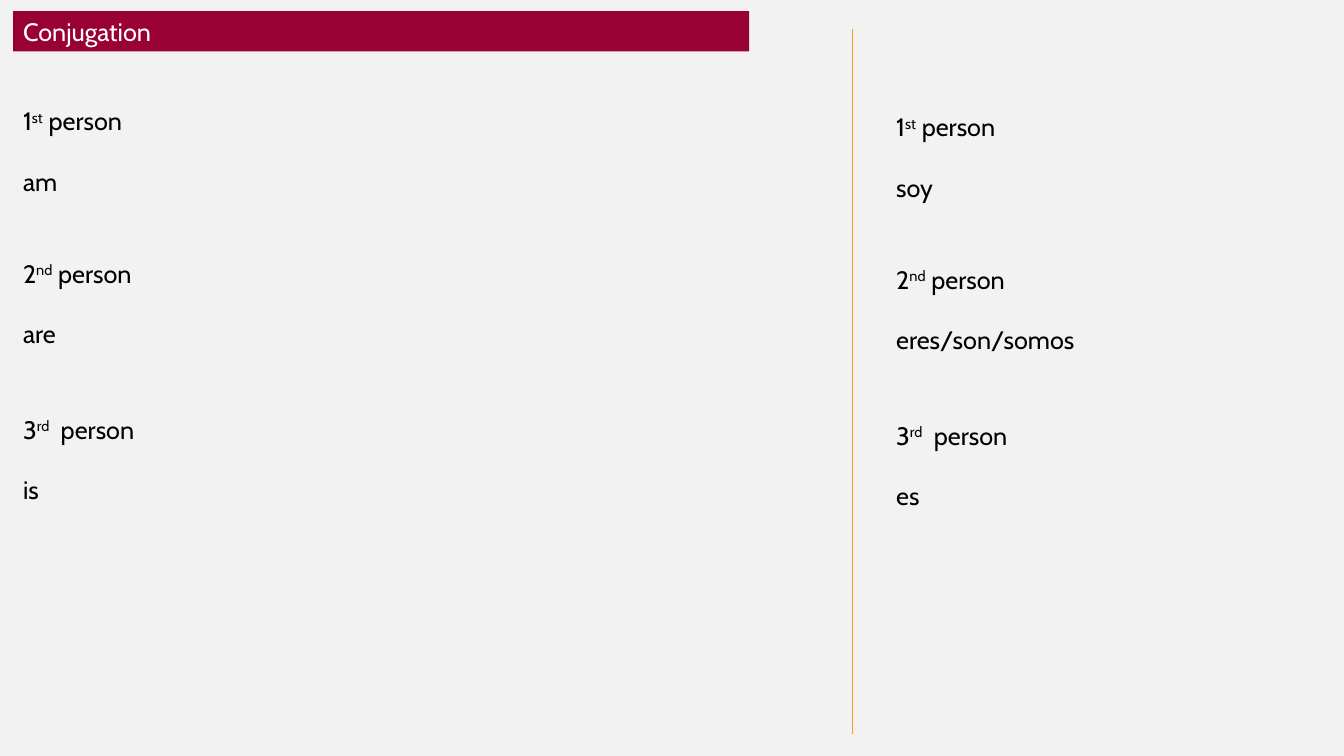
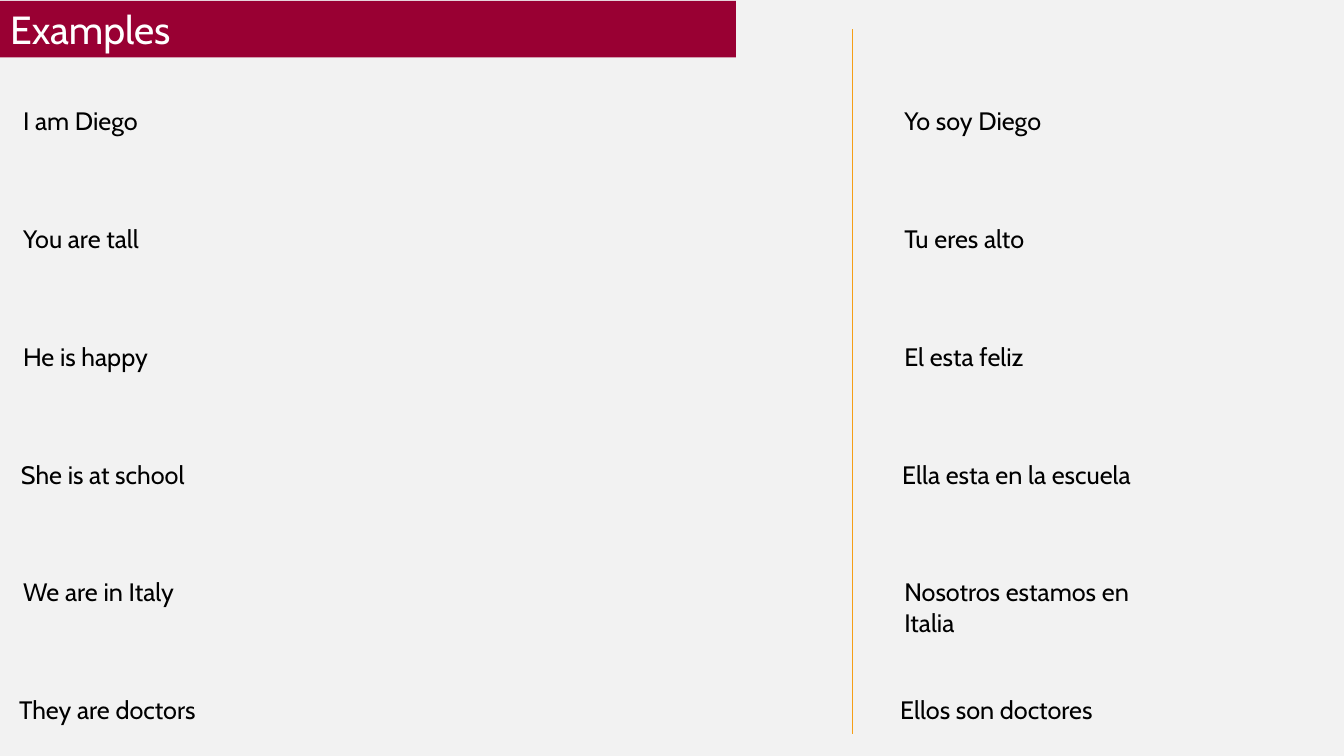
from dataclasses import dataclass

from lxml.etree import SubElement
from pptx import Presentation
from pptx.dml.color import RGBColor
from pptx.enum.shapes import MSO_CONNECTOR
from pptx.enum.text import MSO_ANCHOR, MSO_AUTO_SIZE, PP_ALIGN
from pptx.oxml.ns import qn
from pptx.util import Inches, Pt

# Content: (number, ordinal ending, noun, English verb, Spanish verb)
PERSONS = [
    ("1", "st", " person", "am", "soy"),
    ("2", "nd", " person", "are", "eres/son/somos"),
    ("3", "rd", "  person", "is", "es"),
]
# (English, Spanish, shift to the left in inches)
EXAMPLES = [
    ("I am Diego", "Yo soy Diego", 0),
    ("You are tall", "Tu eres alto", 0),
    ("He is happy", "El esta feliz", 0),
    ("She is at school", "Ella esta en la escuela", 0.02),
    ("We are in Italy", "Nosotros estamos en Italia", 0),
    ("They are doctors", "Ellos son doctores", 0.04),
]

# Layout, in inches
ENGLISH_LEFT = 0.13
ENTRY_WIDTH = 2.52
FIRST_TOP, LAST_TOP = 1, 6.84
PERSON_TOPS = (1, 2.51, 4.06)
SPANISH_DROP = 0.06


@dataclass(frozen=True)
class Theme:
    """Colours, font and type sizes of both slides."""
    background: RGBColor = RGBColor(0xF2, 0xF2, 0xF2)
    band: RGBColor = RGBColor(0x99, 0x00, 0x33)
    divider: RGBColor = RGBColor(0xF5, 0x9F, 0x17)
    text: RGBColor = RGBColor(0, 0, 0)
    title: RGBColor = RGBColor(0xFF, 0xFF, 0xFF)
    font: str = "Cabin"
    body_size: int = 18
    large_title_size: int = 28
    verb_gap: float = 21.6
    superscript: str = "30000"


THEME = Theme()


def add_run(paragraph, wording, size, color, raised=False):
    """Add one formatted run, as superscript if raised."""
    run = paragraph.add_run()
    run.text = wording
    run.font.name = THEME.font
    run.font.size = Pt(size)
    run.font.color.rgb = color
    if raised:
        run.font._element.set("baseline", THEME.superscript)


def add_divider(slide):
    """Draw the line between the English and Spanish columns."""
    divider = slide.shapes.add_connector(
        MSO_CONNECTOR.STRAIGHT,
        Inches(8.46), Inches(0.29), Inches(8.46), Inches(7.28))
    divider.line.color.rgb = THEME.divider
    divider.line.width = Pt(0.75)
    SubElement(divider._element.spPr, qn("a:effectLst"))


def add_slide(deck, heading, left, top, height, size):
    """Add a slide with its title band and the column divider."""
    slide = deck.slides.add_slide(deck.slide_layouts[5])
    add_divider(slide)
    band = slide.shapes.title
    band.left, band.top = Inches(left), Inches(top)
    band.width, band.height = Inches(7.3), Inches(height)
    band.fill.solid()
    band.fill.fore_color.rgb = THEME.band
    frame = band.text_frame
    frame.auto_size = MSO_AUTO_SIZE.NONE
    frame.vertical_anchor = MSO_ANCHOR.MIDDLE
    frame.paragraphs[0].alignment = PP_ALIGN.LEFT
    add_run(frame.paragraphs[0], heading, size, THEME.title)
    return slide


def add_entry(slide, left, top, height, lines):
    """Add a text box; each line is a list of (wording, raised)."""
    entry = slide.shapes.add_textbox(
        Inches(left), Inches(top), Inches(ENTRY_WIDTH), Inches(height))
    frame = entry.text_frame
    frame.word_wrap = True
    for index, line in enumerate(lines):
        paragraph = frame.add_paragraph() if index else frame.paragraphs[0]
        if index:
            paragraph.space_before = Pt(THEME.verb_gap)
        for wording, raised in line:
            add_run(paragraph, wording, THEME.body_size, THEME.text, raised)


def build_conjugation(deck):
    """Build the slide with the verb forms of each person."""
    slide = add_slide(deck, "Conjugation", 0.13, 0.11, 0.4, THEME.body_size)
    columns = ((ENGLISH_LEFT, 0), (8.79, SPANISH_DROP))
    for column, (left, drop) in enumerate(columns):
        for top, (number, ending, noun, *verbs) in zip(PERSON_TOPS, PERSONS):
            person = [(number, False), (ending, True), (noun, False)]
            add_entry(slide, left, top + drop, 1,
                      [person, [(verbs[column], False)]])


def build_examples(deck):
    """Build the slide with evenly spaced example sentences."""
    slide = add_slide(deck, "Examples", 0, 0.01, 0.56, THEME.large_title_size)
    pitch = (LAST_TOP - FIRST_TOP) / (len(EXAMPLES) - 1)
    for column, left in enumerate((ENGLISH_LEFT, 8.87)):
        for row, (*sentences, shift) in enumerate(EXAMPLES):
            add_entry(slide, left - shift, FIRST_TOP + row * pitch, 0.4,
                      [[(sentences[column], False)]])


def main():
    """Build and save the deck."""
    deck = Presentation()
    deck.slide_width, deck.slide_height = Inches(13.33), Inches(7.5)
    backdrop = deck.slide_master.background.fill
    backdrop.solid()
    backdrop.fore_color.rgb = THEME.background
    build_conjugation(deck)
    build_examples(deck)
    deck.save("out.pptx")


main()
